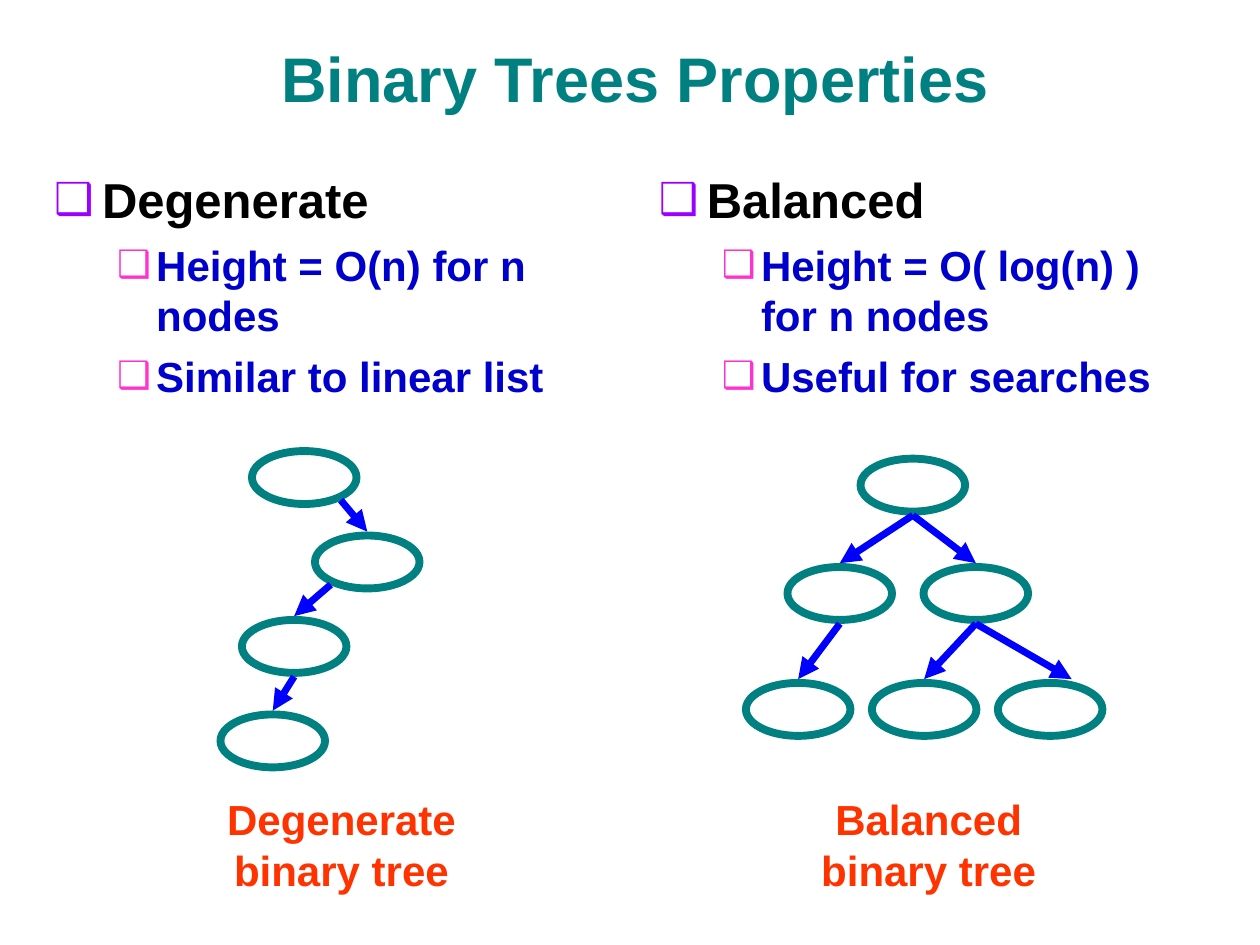
"""Build a slide that contrasts degenerate and balanced binary trees."""
import pptx
import pptx.dml.color
import pptx.enum.shapes
import pptx.enum.text
import pptx.oxml
import pptx.oxml.ns
import pptx.util
from pptx.util import Inches

COLORS = {
    "teal": "008080", "heading": "000000", "detail": "0000CC",
    "heading_bullet": "9900FF", "detail_bullet": "FF33CC",
    "edge": "0000FF", "caption": "FF3300",
}
NODE_WIDTH, NODE_HEIGHT, GAP = 0.83, 0.42, 0.03
CENTER = pptx.enum.text.PP_ALIGN.CENTER


def rgb(name):
    return pptx.dml.color.RGBColor.from_string(COLORS[name])


def write(frame, text, size, color, align=None, level=0, before=0,
          spacing=1.0, bullet=None, margin=0, hanging=0):
    paragraph = frame.paragraphs[0] if not frame.text else frame.add_paragraph()
    paragraph.level = level
    paragraph.alignment = align
    paragraph.space_before = pptx.util.Pt(before)
    paragraph.line_spacing = spacing
    run = paragraph.add_run()
    run.text = text
    run.font.name = "Arial"
    run.font.size = pptx.util.Pt(size)
    run.font.bold = True
    run.font.color.rgb = rgb(color)
    if bullet:
        properties = paragraph._p.get_or_add_pPr()
        properties.set("marL", str(Inches(margin)))
        properties.set("indent", str(-Inches(hanging)))
        namespace = pptx.oxml.ns.nsdecls("a")
        for xml in (
            f'<a:buClr {namespace}><a:srgbClr val="{COLORS[bullet]}"/></a:buClr>',
            f'<a:buSzPct {namespace} val="90000"/>',
            f'<a:buChar {namespace} char="❑"/>',
        ):
            properties.append(pptx.oxml.parse_xml(xml))


presentation = pptx.Presentation()
presentation.slide_width, presentation.slide_height = Inches(10), Inches(7.5)
slide = presentation.slides.add_slide(presentation.slide_layouts[3])
for spare in list(slide.placeholders)[3:]:
    spare.element.getparent().remove(spare.element)

title = slide.shapes.title
title.left, title.top, title.width, title.height = map(Inches, (0.33, 0.17, 9.42, 0.79))
title.text_frame.vertical_anchor = pptx.enum.text.MSO_ANCHOR.BOTTOM
title.text_frame.auto_size = pptx.enum.text.MSO_AUTO_SIZE.NONE
write(title.text_frame, "Binary Trees Properties", size=36, color="teal", align=CENTER)

columns = [
    (1, 0.33, 4.58, "Degenerate", ["Height = O(n) for n nodes", "Similar to linear list"]),
    (2, 5.13, 4.37, "Balanced", ["Height = O( log(n) ) for n nodes", "Useful for searches"]),
]
for index, left, width, heading, details in columns:
    properties_list = slide.placeholders[index]
    properties_list.left, properties_list.top = Inches(left), Inches(1.25)
    properties_list.width, properties_list.height = Inches(width), Inches(5.83)
    frame = properties_list.text_frame
    frame.auto_size = pptx.enum.text.MSO_AUTO_SIZE.NONE
    write(frame, heading, size=28, color="heading", before=7, spacing=1.1,
          bullet="heading_bullet", margin=0.38, hanging=0.38)
    for detail in details:
        write(frame, detail, size=24, color="detail", level=1, before=6,
              bullet="detail_bullet", margin=0.81, hanging=0.31)

# Each edge: parent, child, start shift (x, y) from the parent's bottom, end shift x.
trees = [
    {
        "nodes": [(2, 3.58), (2.5, 4.25), (1.92, 4.92), (1.75, 5.67)],
        "edges": [(0, 1, 0.29, -GAP, 0), (1, 2, -0.29, -GAP, 0), (2, 3, 0, GAP, 0)],
        "caption": ("Degenerate binary tree", 1.67),
    },
    {
        "nodes": [(6.83, 3.64), (6.25, 4.5), (7.33, 4.5),
                  (5.92, 5.42), (6.92, 5.42), (7.92, 5.42)],
        "edges": [(0, 1, 0, GAP, 0), (0, 2, 0, GAP, 0), (1, 3, 0, GAP, 0),
                  (2, 4, 0, GAP, 0), (2, 5, 0, GAP, 0.17)],
        "caption": ("Balanced binary tree", 6.33),
    },
]
for tree in trees:
    nodes = tree["nodes"]
    for left, top in nodes:
        node = slide.shapes.add_shape(
            pptx.enum.shapes.MSO_SHAPE.OVAL,
            Inches(left), Inches(top), Inches(NODE_WIDTH), Inches(NODE_HEIGHT))
        node.shadow.inherit = False
        node.fill.background()
        node.line.color.rgb = rgb("teal")
        node.line.width = pptx.util.Pt(4.5)

    for parent, child, start_x, start_y, end_x in tree["edges"]:
        edge = slide.shapes.add_connector(
            pptx.enum.shapes.MSO_CONNECTOR.STRAIGHT,
            Inches(nodes[parent][0] + NODE_WIDTH / 2 + start_x),
            Inches(nodes[parent][1] + NODE_HEIGHT + start_y),
            Inches(nodes[child][0] + NODE_WIDTH / 2 + end_x),
            Inches(nodes[child][1] - GAP))
        edge.line.color.rgb = rgb("edge")
        edge.line.width = pptx.util.Pt(4)
        namespace = pptx.oxml.ns.nsdecls("a")
        edge.line._get_or_add_ln().append(
            pptx.oxml.parse_xml(f'<a:tailEnd {namespace} type="triangle"/>'))
        edge._element.spPr.append(pptx.oxml.parse_xml(f"<a:effectLst {namespace}/>"))

    text, left = tree["caption"]
    caption = slide.shapes.add_textbox(Inches(left), Inches(6.25), Inches(2.08), Inches(0.9))
    caption.text_frame.word_wrap = True
    write(caption.text_frame, text, size=24, color="caption", align=CENTER)

presentation.save("out.pptx")
